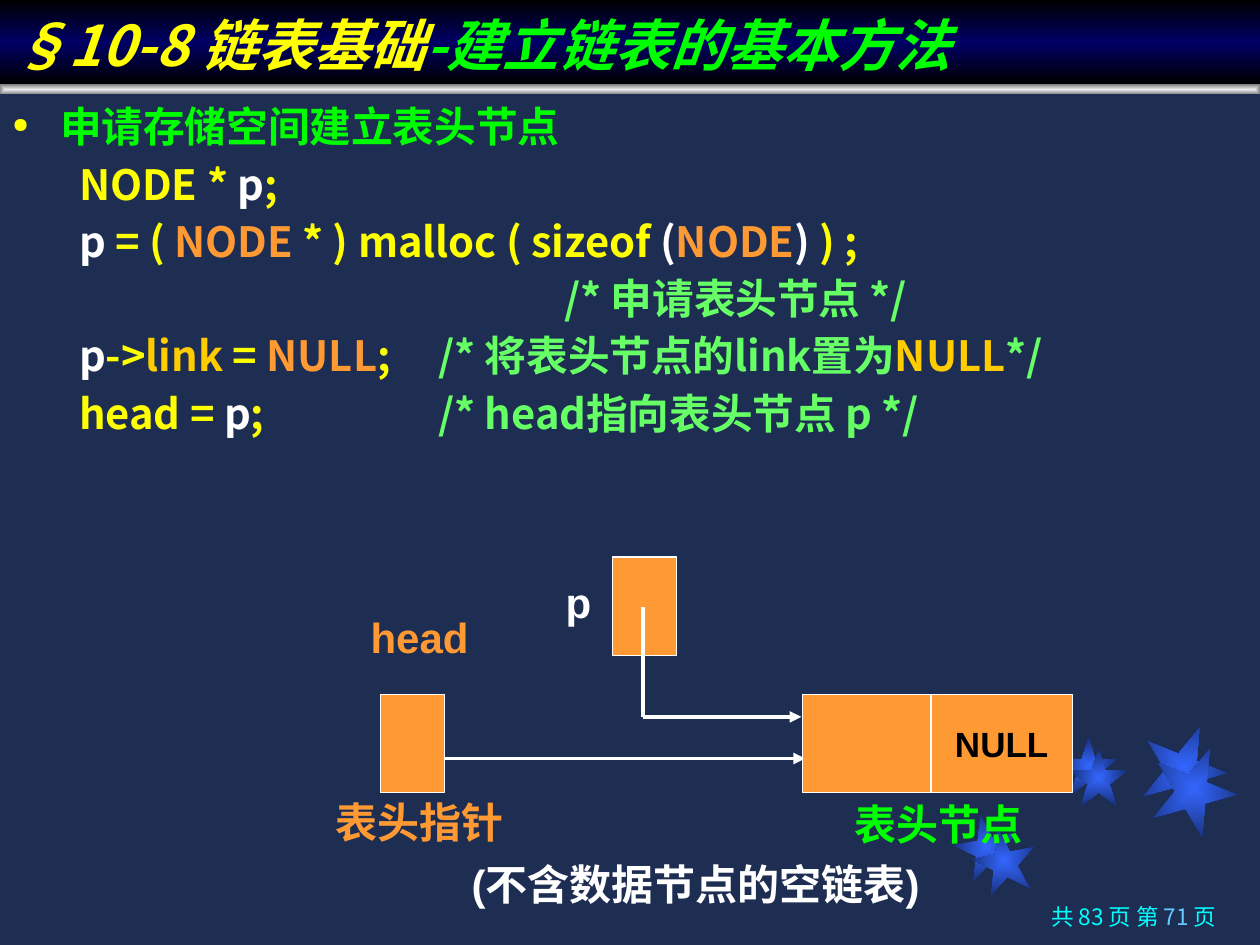
from dataclasses import dataclass
from typing import Optional

from lxml.etree import SubElement
from pptx import Presentation
from pptx.dml.color import RGBColor
from pptx.enum.shapes import MSO_CONNECTOR as Connector, MSO_SHAPE as Preset
from pptx.enum.text import MSO_ANCHOR as Anchor, PP_ALIGN as Align
from pptx.oxml.ns import qn
from pptx.util import Inches, Pt


@dataclass(frozen=True)
class Theme:
    background: str = "1E2E53"
    black: str = "000000"
    white: str = "FFFFFF"
    yellow: str = "FFFF00"
    gold: str = "FFCC00"
    orange: str = "FF9933"
    green: str = "00FF00"
    comment: str = "66FF66"
    cyan: str = "00FFFF"
    sky: str = "66CCFF"
    title_stops: tuple = ((0, "000000"), (50, "000066"), (100, "000000"))
    star_stops: tuple = ((0, "3366FF"), (100, "182F76"))
    rule_stops: tuple = ((0, "EDEDED"), (100, "808080"))
    sans: str = "Arial"
    chinese: str = "Noto Sans CJK SC"
    title_size: float = 32
    body_size: float = 23.8
    label_size: float = 24
    cell_size: float = 20
    page_size: float = 12.9


THEME = Theme()


@dataclass(frozen=True)
class Star:
    left: float
    top: float
    size: float
    rotation: float


@dataclass(frozen=True)
class Box:
    left: float
    top: float
    width: float
    height: float = 0.78
    text: str = ""


@dataclass(frozen=True)
class Label:
    text: str
    left: float
    top: float
    width: float
    color: str
    height: float = 0.39


@dataclass(frozen=True)
class Line:
    start: tuple
    end: tuple
    arrow: bool = True


@dataclass(frozen=True)
class CodeLine:
    runs: tuple
    indent: float = 0.15
    bullet: bool = False


STARS = [
    Star(7.58, 6.47, 0.5, 349), Star(8.41, 5.85, 0.46, 0), Star(9.06, 5.75, 0.67, 22),
    Star(7.72, 6.58, 0.5, 349), Star(8.49, 5.94, 0.46, 0), Star(9.14, 5.92, 0.67, 22),
]
HEAD_LINE = Line((3.29, 6.02), (6.39, 6.02))
P_LINES = [Line((5.1, 4.82), (5.1, 5.69), arrow=False), Line((5.1, 5.69), (6.36, 5.69))]
BOXES = [
    Box(6.37, 5.51, 1.02), Box(7.39, 5.51, 1.12, text="NULL"),
    Box(3.02, 5.51, 0.51), Box(4.86, 4.42, 0.51),
]
LABELS = [
    Label("表头节点", 6.71, 6.34, 1.48, THEME.green),
    Label("表头指针", 2.59, 6.33, 1.48, THEME.orange),
    Label("head", 2.59, 4.86, 1.48, THEME.orange),
    Label("p", 4.3, 4.58, 0.58, THEME.white),
    Label("(不含数据节点的空链表)", 3.5, 6.76, 4.04, THEME.white, 0.5),
]
BODY_MARGIN = 0.38
YELLOW, WHITE, ORANGE = THEME.yellow, THEME.white, THEME.orange
GOLD, COMMENT = THEME.gold, THEME.comment
CODE = [
    CodeLine((("申请存储空间建立表头节点", THEME.green),), indent=-BODY_MARGIN, bullet=True),
    CodeLine((("NODE * ", YELLOW), ("p", WHITE), (";", YELLOW))),
    CodeLine((("p", WHITE), (" = (", YELLOW), (" NODE ", ORANGE),
              ("* ) malloc ( sizeof ", YELLOW), ("(", WHITE), ("NODE", ORANGE),
              (")", WHITE), (" ) ;", YELLOW))),
    CodeLine((("/* 申请表头节点 */", COMMENT),), indent=4),
    CodeLine((("p", WHITE), ("->", YELLOW), ("link", GOLD), (" = ", YELLOW),
              ("NULL", ORANGE), (";\t", YELLOW), ("/* 将表头节点的link置为", COMMENT),
              ("NULL", GOLD), ("*/", COMMENT))),
    CodeLine((("head = ", YELLOW), ("p", WHITE), (";\t\t\t", YELLOW),
              ("/* head指向表头节点 p */", COMMENT))),
]


def add_run(paragraph, text: str, *, color: str, size: float, font: str = THEME.sans,
            bold: bool = True, italic: bool = False) -> None:
    run = paragraph.add_run()
    run.text = text
    run.font.name = font
    run.font.size = Pt(size)
    run.font.bold = bold
    run.font.italic = italic
    run.font.color.rgb = RGBColor.from_string(color)
    SubElement(run.font._element, qn("a:ea"), typeface=THEME.chinese)


def set_gradient(shape, stops: tuple, angle: Optional[int] = None) -> None:
    shape.fill.gradient()
    gradient = shape._element.spPr.find(qn("a:gradFill"))
    for child in list(gradient):
        gradient.remove(child)
    stop_list = SubElement(gradient, qn("a:gsLst"))
    for position, color in stops:
        stop = SubElement(stop_list, qn("a:gs"), pos=str(position * 1000))
        SubElement(stop, qn("a:srgbClr"), val=color)
    if angle is None:
        center = SubElement(gradient, qn("a:path"), {"path": "rect"})
        SubElement(center, qn("a:fillToRect"), dict.fromkeys("ltrb", "50000"))
    else:
        SubElement(gradient, qn("a:lin"), ang=str(angle * 60000), scaled="0")


def add_preset(slide, preset, left: float, top: float, width: float, height: float):
    shape = slide.shapes.add_shape(preset, Inches(left), Inches(top), Inches(width), Inches(height))
    shape.shadow.inherit = False
    shape.line.fill.background()
    return shape


def add_star(slide, star: Star) -> None:
    shape = add_preset(slide, Preset.STAR_5_POINT, star.left, star.top, star.size, star.size)
    shape.rotation = star.rotation
    set_gradient(shape, THEME.star_stops)


def add_box(slide, box: Box) -> None:
    shape = add_preset(slide, Preset.RECTANGLE, box.left, box.top, box.width, box.height)
    shape.fill.solid()
    shape.fill.fore_color.rgb = RGBColor.from_string(THEME.orange)
    shape.line.color.rgb = RGBColor.from_string(THEME.white)
    shape.line.width = Pt(0.75)
    if box.text:
        add_run(shape.text_frame.paragraphs[0], box.text, color=THEME.black, size=THEME.cell_size)


def add_text_frame(slide, left: float, top: float, width: float, height: float):
    shape = slide.shapes.add_textbox(Inches(left), Inches(top), Inches(width), Inches(height))
    shape.text_frame.word_wrap = True
    return shape.text_frame


def add_label(slide, label: Label) -> None:
    frame = add_text_frame(slide, label.left, label.top, label.width, label.height)
    frame.margin_left = frame.margin_right = 0
    frame.vertical_anchor = Anchor.MIDDLE
    paragraph = frame.paragraphs[0]
    paragraph.alignment = Align.CENTER
    add_run(paragraph, label.text, color=label.color, size=THEME.label_size)


def add_line(slide, line: Line) -> None:
    ends = [Inches(value) for value in (*line.start, *line.end)]
    connector = slide.shapes.add_connector(Connector.STRAIGHT, *ends)
    connector.line.color.rgb = RGBColor.from_string(THEME.white)
    connector.line.width = Pt(2.25)
    if line.arrow:
        SubElement(connector.line._get_or_add_ln(), qn("a:tailEnd"), type="triangle")
    SubElement(connector._element.spPr, qn("a:effectLst"))


def add_code(slide) -> None:
    frame = add_text_frame(slide, 0, 0.8, 10, 3.44)
    for index, line in enumerate(CODE):
        paragraph = frame.add_paragraph() if index else frame.paragraphs[0]
        paragraph.line_spacing = 0.9
        paragraph.space_before = Pt(7 if index else 0)
        properties = paragraph._p.get_or_add_pPr()
        properties.set("marL", str(Inches(BODY_MARGIN)))
        properties.set("indent", str(Inches(line.indent)))
        if line.bullet:
            color = SubElement(properties, qn("a:buClr"))
            SubElement(color, qn("a:srgbClr"), val=THEME.yellow)
            SubElement(properties, qn("a:buSzPct"), val="50000")
            SubElement(properties, qn("a:buChar"), char="●")
        for text, color in line.runs:
            add_run(paragraph, text, color=color, size=THEME.body_size, font=THEME.chinese)


def format_title(slide) -> None:
    title = slide.shapes.title
    title.left, title.top, title.width, title.height = (Inches(v) for v in (0, 0, 10, 0.67))
    set_gradient(title, THEME.title_stops, angle=90)
    title.text_frame.vertical_anchor = Anchor.BOTTOM
    paragraph = title.text_frame.paragraphs[0]
    paragraph.alignment = Align.LEFT
    for text, color in (("§10-8 链表基础", THEME.yellow), ("-建立链表的基本方法", THEME.green)):
        add_run(paragraph, text, color=color, size=THEME.title_size, font=THEME.chinese, italic=True)


def add_page_number(slide) -> None:
    paragraph = add_text_frame(slide, 7.12, 7.14, 2.63, 0.36).paragraphs[0]
    paragraph.alignment = Align.RIGHT
    paragraph.line_spacing = 0.9
    for text, color in (("共 83 页 第 ", THEME.cyan), ("71 ", THEME.sky), ("页", THEME.cyan)):
        add_run(paragraph, text, color=color, size=THEME.page_size, font=THEME.chinese, bold=False)


def main() -> None:
    presentation = Presentation()
    presentation.slide_width, presentation.slide_height = Inches(10), Inches(7.5)
    slide = presentation.slides.add_slide(presentation.slide_layouts[5])
    slide.background.fill.solid()
    slide.background.fill.fore_color.rgb = RGBColor.from_string(THEME.background)
    for star in STARS:
        add_star(slide, star)
    set_gradient(add_preset(slide, Preset.RECTANGLE, 0, 0.67, 10, 0.08), THEME.rule_stops)
    format_title(slide)
    add_code(slide)
    add_line(slide, HEAD_LINE)
    for box in BOXES:
        add_box(slide, box)
    for label in LABELS:
        add_label(slide, label)
    for line in P_LINES:
        add_line(slide, line)
    add_page_number(slide)
    presentation.save("out.pptx")


if __name__ == "__main__":
    main()
